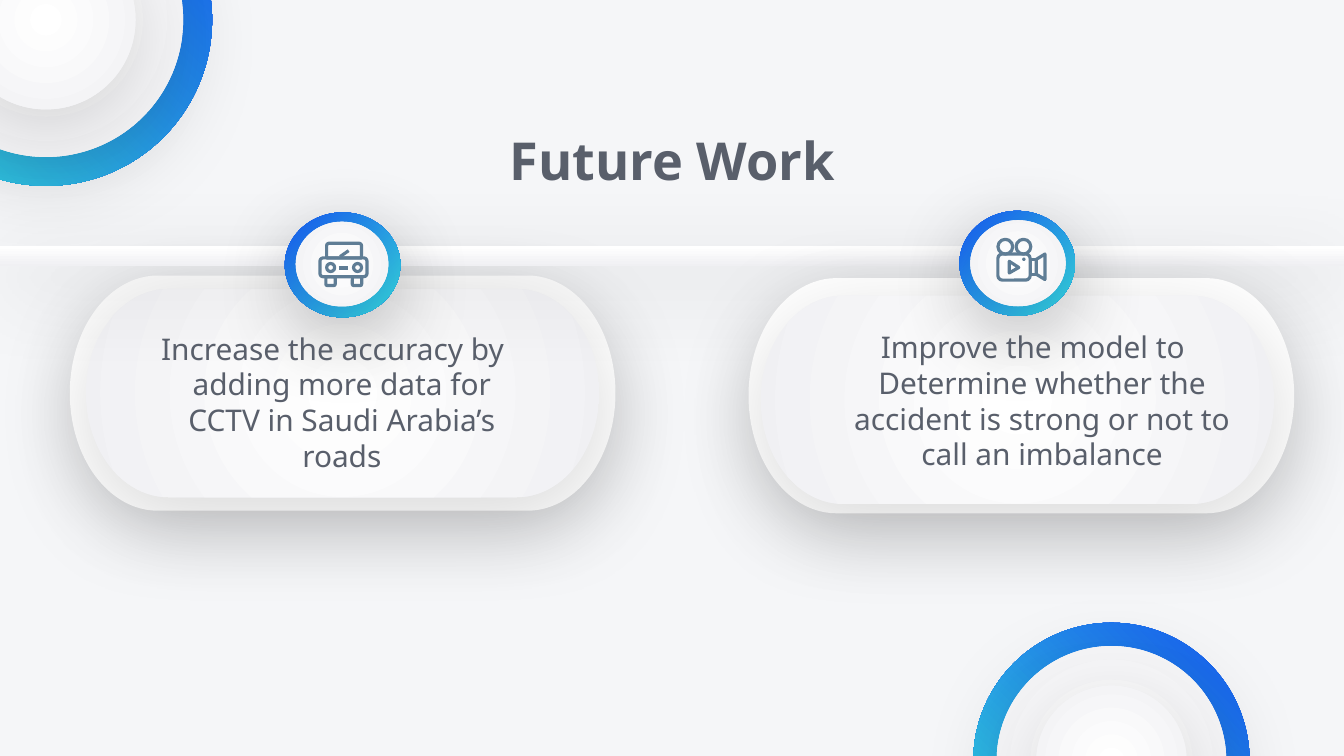
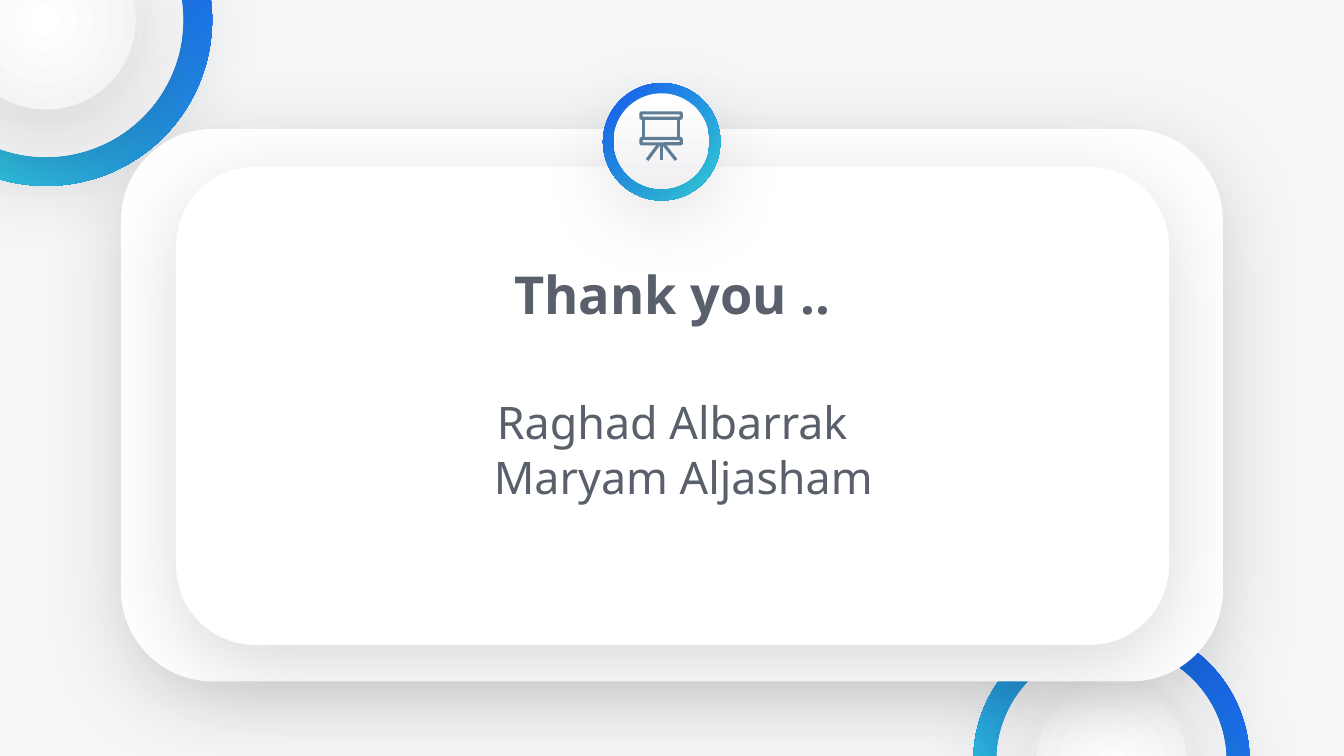
import pptx
import pptx.util
import pptx.dml.color
import pptx.enum.shapes
import pptx.enum.text
import pptx.oxml
import pptx.oxml.ns
from dataclasses import dataclass

Pt = pptx.util.Pt
RGB = pptx.dml.color.RGBColor.from_string
Kind = pptx.enum.shapes.MSO_SHAPE
Straight = pptx.enum.shapes.MSO_CONNECTOR.STRAIGHT
Text = pptx.enum.text
qn = pptx.oxml.ns.qn
NS = pptx.oxml.ns.nsdecls("a")


@dataclass(frozen=True)
class Theme:
    font: str = "Noto Sans"
    text: str = "595F6B"
    back: str = "F5F6F8"
    white: str = "FFFFFF"
    icon: str = "5F7D95"
    ring: tuple = ("1658F1", "36DBE0", 45)
    dome: tuple = ("FFFFFF", "F0F0F3", None)
    fade: tuple = ("FFFFFF", "F0F0F3", 90)
    head: int = 28
    name: int = 24
    body: int = 16
    inset: float = 7.2
    stroke: float = 1.7


theme = Theme()
SHADE = (f'<a:outerShdw {NS} blurRad="{Pt(45)}" dist="{Pt(11.2)}" dir="5100000" '
         'algn="bl" rotWithShape="0"><a:srgbClr val="000000"><a:alpha val="15000"/>'
         '</a:srgbClr></a:outerShdw>')
CENTRE = (f'<a:path {NS} path="circle"><a:fillToRect l="50000" t="50000" '
          'r="50000" b="50000"/></a:path>')


def add(shapes, kind, box, paint, shade=True, turn=0):
    """Add a borderless shape; a tuple paint is two stops and an angle, None for radial."""
    shape = shapes.add_shape(kind, *map(Pt, box))
    shape.rotation = turn
    shape.line.fill.background()
    if isinstance(paint, str):
        shape.fill.solid()
        shape.fill.fore_color.rgb = RGB(paint)
    else:
        shape.fill.gradient()
        for stop, tone in zip(shape.fill.gradient_stops, paint):
            stop.color.rgb = RGB(tone)
        if paint[2] is None:
            grad = shape.element.spPr.find(qn("a:gradFill"))
            grad.replace(grad.find(qn("a:lin")), pptx.oxml.parse_xml(CENTRE))
        else:
            shape.fill.gradient_angle = 360 - paint[2]
    shape.shadow.inherit = False
    if shade:
        effects = shape.element.spPr.find(qn("a:effectLst"))
        effects.append(pptx.oxml.parse_xml(SHADE))
    return shape


def write(shape, box, lines, size, bold=False):
    """Place a text shape and fill it with centred paragraphs."""
    shape.left, shape.top, shape.width, shape.height = map(Pt, box)
    frame = shape.text_frame
    frame.word_wrap = True
    frame.auto_size = Text.MSO_AUTO_SIZE.NONE
    frame.vertical_anchor = Text.MSO_ANCHOR.MIDDLE
    frame.margin_left = frame.margin_right = Pt(theme.inset)
    frame.margin_top = frame.margin_bottom = Pt(theme.inset)
    frame.text = "\n".join(lines)
    for para in frame.paragraphs:
        para.alignment = Text.PP_ALIGN.CENTER
        for run in para.runs:
            run.font.name = theme.font
            run.font.size = Pt(size)
            run.font.bold = bold
            run.font.color.rgb = RGB(theme.text)
    return frame.paragraphs


deck = pptx.Presentation()
deck.slide_width, deck.slide_height = Pt(720), Pt(405)
back = deck.slide_master.background.fill
back.solid()
back.fore_color.rgb = RGB(theme.back)
layout = deck.slide_layouts[5]
future = deck.slides.add_slide(layout)
thanks = deck.slides.add_slide(layout)

# Corner dials: centre, then the diameters of ring, dish and knob, kept on the layout
for x, y, sizes in ((24.6, 10.6, (178, 147, 96)), (595.4, 407.6, (148, 123, 80.6))):
    for size, paint in zip(sizes, (theme.ring, theme.dome, theme.dome)):
        dial = add(future.shapes, Kind.OVAL, (x - size / 2, y - size / 2, size, size),
                   paint, paint is theme.dome, 90)
        layout.shapes.element.append(dial.element)

# Future work: two pill cards, a bar, and a badge over each card
pill = Kind.FLOWCHART_TERMINATOR
cards = [
    ((37.4, 147.6), (46, 154.8), (152.6, 113.8, 61.9, 56.2), (158.4, 118.8, 49.7, 45.4),
     (77, 185, 202.3, 60.5),
     "Increase the accuracy by adding more data for CCTV in Saudi Arabia’s roads"),
    ((401, 149), (407.5, 158.4), (514, 113, 61.9, 56.2), (519.8, 118, 51.1, 46.1),
     (432, 189.4, 242.6, 50.4),
     "Improve the model to Determine whether the accident is strong or not to "
     "call an imbalance"),
]
for num, (outer, inner, ring, disc, box, words) in enumerate(cards):
    add(future.shapes, pill, (*outer, 292.3, 126), theme.white, turn=180)
    add(future.shapes, pill, (*inner, 275, 111.6), theme.dome, turn=180)
    if num == 0:
        add(future.shapes, Kind.RECTANGLE, (0, 131.8, 720, 10.8), theme.fade)
    add(future.shapes, Kind.OVAL, ring, theme.ring)
    add(future.shapes, Kind.OVAL, disc, theme.dome)
    note = future.shapes.add_textbox(0, 0, 0, 0)
    para = write(note, box, [words], theme.body)[0]
    para.line_spacing = Pt(19.1)
    props = para._p.get_or_add_pPr()
    props.set("marL", str(Pt(10)))
    props.set("indent", str(-Pt(10)))
write(future.shapes.title, (56.2, 71, 607.7, 29.5), ["Future Work"], theme.head, True)

# Thank you: a framed panel with one badge
add(thanks.shapes, Kind.ROUNDED_RECTANGLE, (64.8, 69.1, 590.4, 296), theme.white)
add(thanks.shapes, Kind.ROUNDED_RECTANGLE, (94.3, 89.3, 532, 256.3), theme.white)
add(thanks.shapes, Kind.OVAL, (323, 44.5, 62.9, 62.9), theme.ring, False)
add(thanks.shapes, Kind.OVAL, (328.8, 50, 51.1, 51.1), theme.fade)
title = thanks.shapes.title
thanks.shapes.element.append(title.element)
lines = write(title, (56.2, 116.6, 607.7, 172.8),
              ["Thank you ..", "Raghad Albarrak", "Maryam Aljasham"], theme.head, True)
lines[0].line_spacing = Pt(38)
for para in lines[1:]:
    para.line_spacing = Pt(30)
    para.space_before = Pt(0)
    para.runs[0].font.size = Pt(theme.name)
    para.runs[0].font.bold = False
lines[1].space_before = Pt(36)
lines[2]._p.get_or_add_pPr().set("marL", str(Pt(12)))

# Line icons: outlined shapes, strokes and closed outlines
oval, soft, rect = Kind.OVAL, Kind.ROUNDED_RECTANGLE, Kind.RECTANGLE
car = (
    [(Kind.ROUND_2_SAME_RECTANGLE, 175, 130.3, 18.7, 7.9), (soft, 171.4, 138.2, 25.2, 10.1)]
    + [(soft, x, 148.3, 5, 4.7) for x in (174.6, 188.8)]
    + [(oval, x, 141.2, 4.3, 4.3) for x in (175, 189.4)],
    [(181.5, 143.6, 186.5, 143.6), (182.2, 137.5, 186.8, 134.3)],
    [],
)
film = (
    [(oval, x, 128.2, 7.9, 7.9) for x in (534.6, 544.3)]
    + [(soft, 534.6, 136.1, 17.3, 14), (rect, 551.9, 139, 3.2, 7.9),
       (oval, 548.4, 138.8, 0.2, 0.2)],
    [],
    [[(555.1, 139), (559.8, 136.1), (559.8, 149.8), (555.1, 146.9)],
     [(540.7, 140), (545.8, 143.3), (540.7, 146.2)]],
)
easel = (
    [(soft, 343.4, y, 21.6, 2.9) for y in (60.5, 74.2)] + [(rect, 344.9, 63.4, 18.7, 10.8)],
    [(352.8, 77.5, 346.7, 85.7), (354.2, 77.5, 354.2, 85.7), (355.7, 77.5, 362.2, 85.7)],
    [],
)
for slide, (forms, strokes, paths) in ((future, car), (future, film), (thanks, easel)):
    group = slide.shapes.add_group_shape().shapes
    marks = [group.add_shape(kind, *map(Pt, box)) for kind, *box in forms]
    for path in paths:
        first, *rest = [(Pt(x), Pt(y)) for x, y in path]
        pen = group.build_freeform(*first)
        pen.add_line_segments(rest, close=True)
        marks.append(pen.convert_to_shape())
    for mark in marks:
        mark.fill.background()
        mark.shadow.inherit = False
    for ends in strokes:
        stroke = group.add_connector(Straight, *map(Pt, ends))
        marks.append(stroke)
    for mark in marks:
        mark.line.color.rgb = RGB(theme.icon)
        mark.line.width = Pt(theme.stroke)
    for stroke in marks[len(marks) - len(strokes):]:
        stroke.element.spPr.append(pptx.oxml.parse_xml(f"<a:effectLst {NS}/>"))

deck.save("out.pptx")
